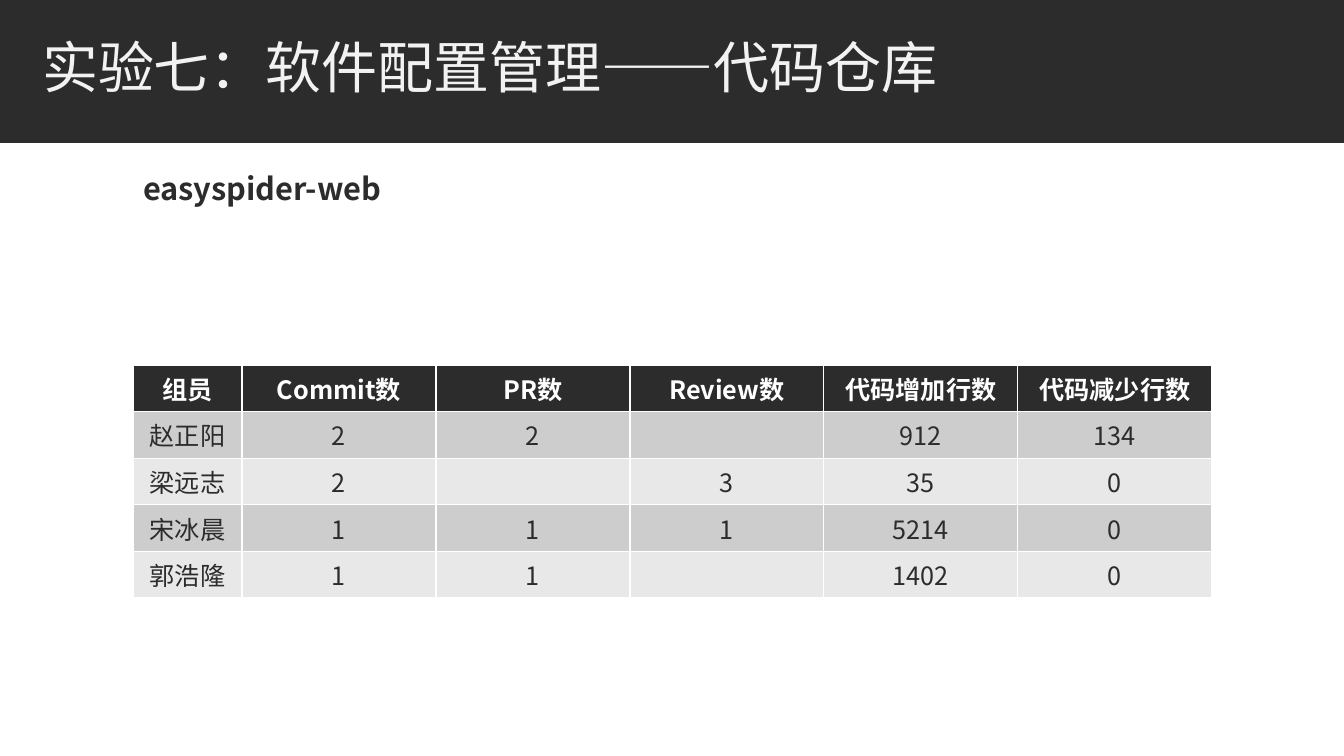
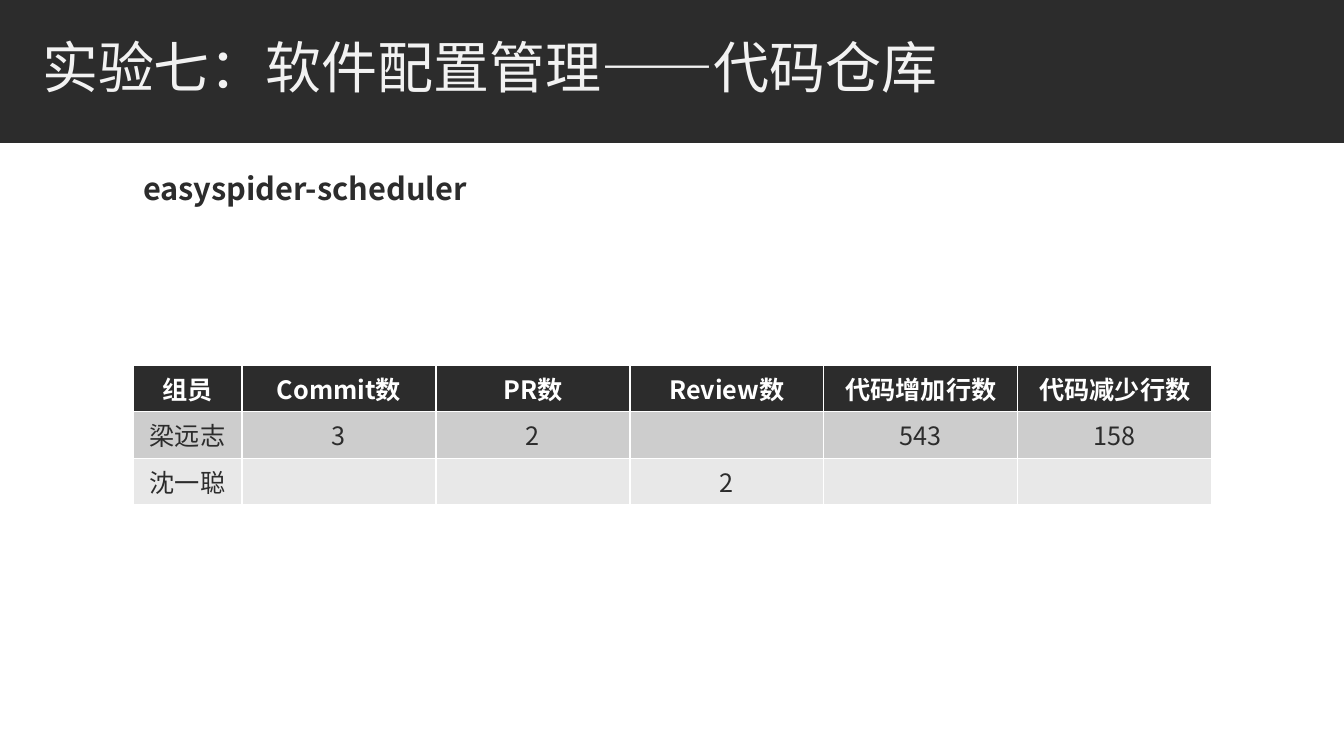
from lxml.etree import SubElement
from pptx import Presentation
from pptx.dml.color import RGBColor
from pptx.enum.shapes import MSO_SHAPE
from pptx.enum.text import MSO_ANCHOR, PP_ALIGN
from pptx.oxml.ns import qn
from pptx.util import Pt

PX = 12192000 / 1344
DARK = RGBColor(0x2C, 0x2C, 0x2C)
OFF_WHITE = RGBColor(0xF2, 0xF2, 0xF2)
WHITE = RGBColor(0xFF, 0xFF, 0xFF)
GREY = RGBColor(0xCD, 0xCD, 0xCD)
LIGHT_GREY = RGBColor(0xE8, 0xE8, 0xE8)
FONT = "Noto Sans CJK SC"

TITLE = "实验七：软件配置管理——代码仓库"
HEADER = ["组员", "Commit数", "PR数", "Review数", "代码增加行数", "代码减少行数"]
COL_WIDTHS = [109] + [194] * 5
ROW_HEIGHT = 41
REPOSITORIES = [
    ("easyspider-web", [
        ["赵正阳", "2", "2", "", "912", "134"],
        ["梁远志", "2", "", "3", "35", "0"],
        ["宋冰晨", "1", "1", "1", "5214", "0"],
        ["郭浩隆", "1", "1", "", "1402", "0"],
    ]),
    ("easyspider-scheduler", [
        ["梁远志", "3", "2", "", "543", "158"],
        ["沈一聪", "", "", "2", "", ""],
    ]),
]


def px(n):
    return round(n * PX)


def write(tf, text, size, color, bold=False, align=PP_ALIGN.LEFT,
          line=1.0, before=0, after=0):
    p = tf.paragraphs[0]
    p.alignment, p.line_spacing = align, line
    p.space_before, p.space_after = Pt(before), Pt(after)
    r = p.add_run()
    r.text = text
    r.font.size, r.font.bold, r.font.name = Pt(size), bold, FONT
    r.font.color.rgb = color
    SubElement(r.font._element, qn("a:ea"), typeface=FONT)
    return p


prs = Presentation()
prs.slide_width, prs.slide_height = px(1344), px(756)

# Shared layout: title and body positions, without the unused footers
layout = prs.slide_layouts[1]
title_ph, body_ph, *footers = layout.placeholders
for ph, left, top in ((title_ph, 32, 26), (body_ph, 133, 169)):
    ph.left, ph.top = px(left), px(top)
    ph.width, ph.height = px(1079), px(91)
for ph in footers:
    layout.shapes._spTree.remove(ph._element)

for repository, members in REPOSITORIES:
    s = prs.slides.add_slide(layout)
    title, body = s.placeholders

    band = s.shapes.add_shape(MSO_SHAPE.RECTANGLE, 0, 0, prs.slide_width, px(143))
    band.shadow.inherit = False
    band.fill.solid()
    band.fill.fore_color.rgb = DARK
    band.line.fill.background()
    s.shapes._spTree.insert(2, band._element)

    title.text_frame.vertical_anchor = MSO_ANCHOR.MIDDLE
    write(title.text_frame, TITLE, 40, OFF_WHITE, line=0.85)
    p = write(body.text_frame, repository, 22, DARK, bold=True,
              line=0.9, before=12, after=2)
    pPr = p._p.get_or_add_pPr()
    pPr.set("marL", "0")
    pPr.set("indent", "0")
    SubElement(pPr, qn("a:buNone"))

    # The default table style supplies the white cell borders
    rows = [HEADER] + members
    table = s.shapes.add_table(
        len(rows), len(HEADER), px(133), px(365),
        px(sum(COL_WIDTHS)), px(ROW_HEIGHT * len(rows))).table
    for column, width in zip(table.columns, COL_WIDTHS):
        column.width = px(width)
    for i, row in enumerate(rows):
        is_header = i == 0
        fill = DARK if is_header else GREY if i % 2 else LIGHT_GREY
        for cell, text in zip(table.rows[i].cells, row):
            cell.fill.solid()
            cell.fill.fore_color.rgb = fill
            if text:
                write(cell.text_frame, text, 18, WHITE if is_header else DARK,
                      bold=is_header, align=PP_ALIGN.CENTER)

prs.save("out.pptx")
